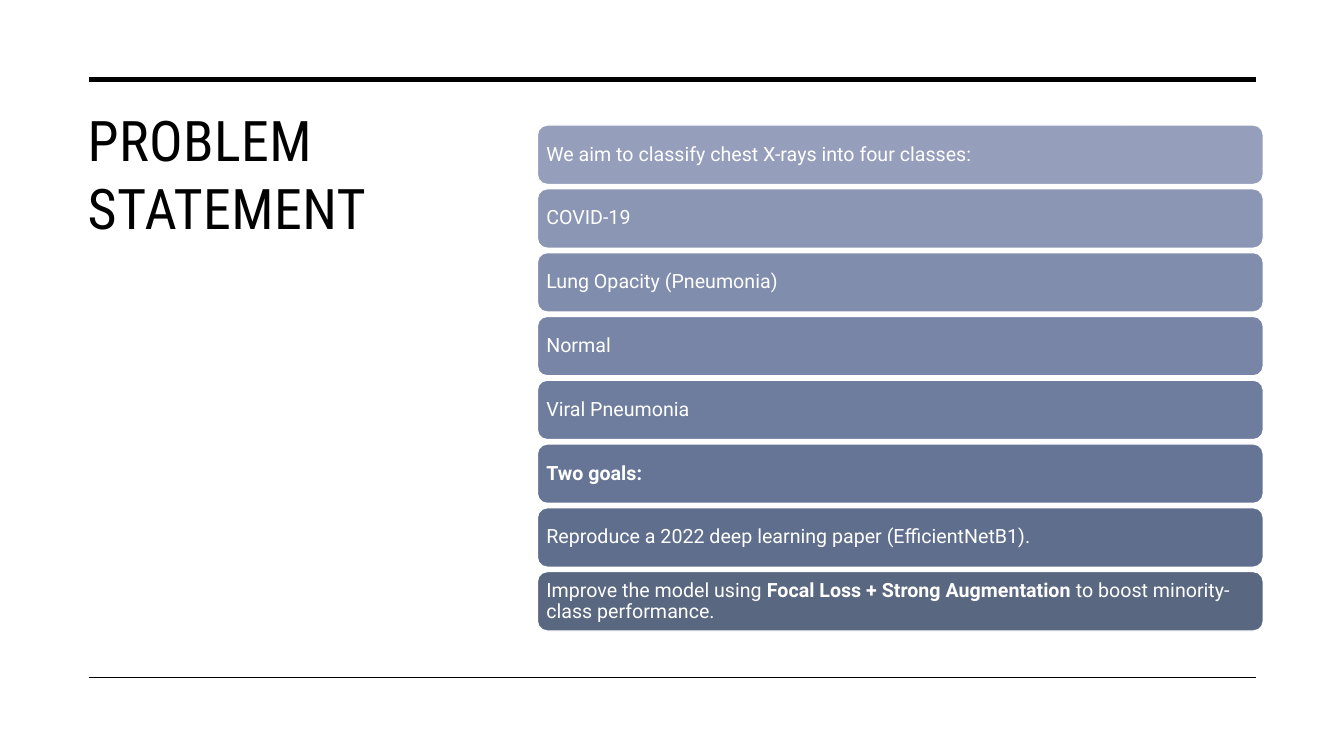
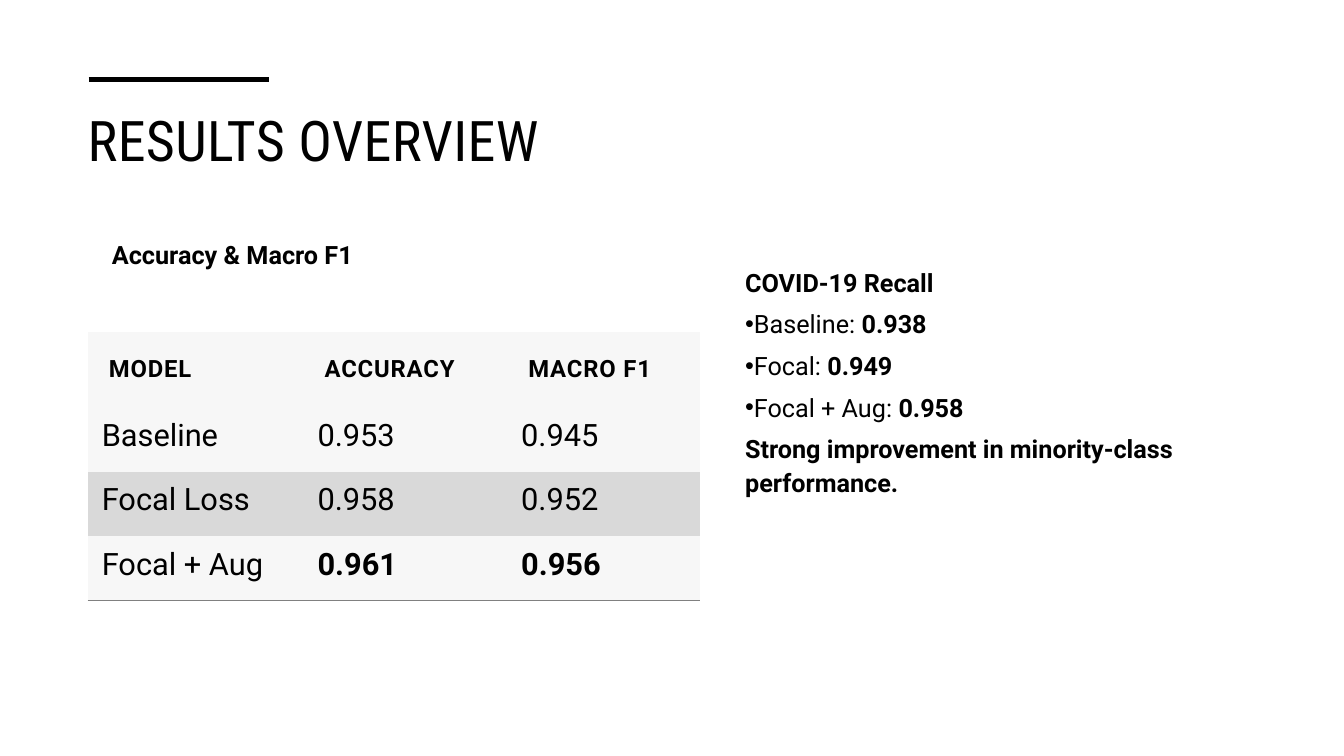
from dataclasses import dataclass

import lxml.etree
import pptx
import pptx.dml.color
import pptx.enum.shapes
import pptx.enum.text
import pptx.oxml
import pptx.oxml.ns
import pptx.util
from pptx.util import Inches

COLOURS = {"ink": "000000", "paper": "FFFFFF", "pale": "F7F7F7", "band": "D9D9D9", "edge": "808080"}
BAR_FILLS = ["959EBB", "8B96B4", "818DAD", "7885A6", "6E7D9E", "667596", "5F6E8C", "596781"]
TITLE_FONT = "Roboto Condensed"
BODY_FONT = "Roboto"
PLAIN_TABLE_STYLE = "{2D5ABB26-0587-4C30-8999-92F81FD0307C}"
RULE_LEFT = 0.88
RULE_TOP = 0.79


@dataclass(frozen=True)
class Span:
    text: str
    bold: bool = False


@dataclass(frozen=True)
class Line:
    spans: tuple[Span, ...]
    bullet: bool = False


@dataclass(frozen=True)
class TextStyle:
    size: float
    colour: str = COLOURS["ink"]
    font: str = BODY_FONT
    tracking: float = 0


@dataclass(frozen=True)
class Area:
    left: float
    top: float
    width: float
    height: float


TITLE_STYLE = TextStyle(40, font=TITLE_FONT, tracking=0.3)
BAR_STYLE = TextStyle(14, COLOURS["paper"])
LIST_STYLE = TextStyle(18)
HEADER_STYLE = TextStyle(17, tracking=0.6)
CELL_STYLE = TextStyle(22)

GOALS = [
    Line((Span("We aim to classify chest X-rays into four classes:"),)),
    Line((Span("COVID-19"),)),
    Line((Span("Lung Opacity (Pneumonia)"),)),
    Line((Span("Normal"),)),
    Line((Span("Viral Pneumonia"),)),
    Line((Span("Two goals:", True),)),
    Line((Span("Reproduce a 2022 deep learning paper (EfficientNetB1)."),)),
    Line((
        Span("Improve the model using "),
        Span("Focal Loss + Strong Augmentation", True),
        Span(" to boost minority-class performance."),
    )),
]
RECALL = [
    Line((Span("COVID-19 Recall", True),)),
    Line((Span("Baseline: "), Span("0.938", True)), bullet=True),
    Line((Span("Focal: "), Span("0.949", True)), bullet=True),
    Line((Span("Focal + Aug: "), Span("0.958", True)), bullet=True),
    Line((Span("Strong improvement in minority-class performance.", True),)),
]
SCORES = [
    ["MODEL", "ACCURACY", "MACRO F1"],
    ["Baseline", "0.953", "0.945"],
    ["Focal Loss", "0.958", "0.952"],
    ["Focal + Aug", "0.961", "0.956"],
]


def rgb(colour: str) -> pptx.dml.color.RGBColor:
    return pptx.dml.color.RGBColor.from_string(colour)


def place(shape, area: Area) -> None:
    shape.left, shape.top = Inches(area.left), Inches(area.top)
    shape.width, shape.height = Inches(area.width), Inches(area.height)


def format_span(span, style: TextStyle, bold: bool = False) -> None:
    font = span.font
    font.name, font.size, font.bold = style.font, pptx.util.Pt(style.size), bold
    font.color.rgb = rgb(style.colour)
    if style.tracking:
        span._r.get_or_add_rPr().set("spc", str(round(style.tracking * 100)))


def write_line(para, line: Line, style: TextStyle) -> None:
    for part in line.spans:
        span = para.add_run()
        span.text = part.text
        format_span(span, style, part.bold)
    para.alignment = pptx.enum.text.PP_ALIGN.LEFT


def set_bullet(para, bullet: bool) -> None:
    properties = para._p.get_or_add_pPr()
    properties.set("marL", "0")
    properties.set("indent", str(Inches(-0.25) if bullet else 0))
    tag = "a:buChar" if bullet else "a:buNone"
    element = lxml.etree.SubElement(properties, pptx.oxml.ns.qn(tag))
    if bullet:
        element.set("char", "•")


def fill_list(box, area: Area, lines: list[Line]) -> None:
    place(box, area)
    frame = box.text_frame
    frame.auto_size = pptx.enum.text.MSO_AUTO_SIZE.NONE
    frame.vertical_anchor = pptx.enum.text.MSO_ANCHOR.TOP
    for number, line in enumerate(lines):
        para = frame.add_paragraph() if number else frame.paragraphs[0]
        set_bullet(para, line.bullet)
        para.line_spacing = 1.1
        para.space_before = pptx.util.Pt(0)
        para.space_after = pptx.util.Pt(6)
        write_line(para, line, LIST_STYLE)


def add_rule(page, top: float, right: float, weight: float) -> None:
    rule = page.shapes.add_connector(
        pptx.enum.shapes.MSO_CONNECTOR.STRAIGHT,
        Inches(RULE_LEFT), Inches(top), Inches(right), Inches(top),
    )
    rule.line.color.rgb = rgb(COLOURS["ink"])
    rule.line.width = pptx.util.Pt(weight)
    lxml.etree.SubElement(rule._element.spPr, pptx.oxml.ns.qn("a:effectLst"))


def add_page(deck, layout: str, title: str, title_area: Area, rule_right: float):
    page = deck.slides.add_slide(deck.slide_layouts.get_by_name(layout))
    box = page.shapes.title
    place(box, title_area)
    frame = box.text_frame
    frame.text = title
    frame.auto_size = pptx.enum.text.MSO_AUTO_SIZE.NONE
    frame.vertical_anchor = pptx.enum.text.MSO_ANCHOR.TOP
    para = frame.paragraphs[0]
    para.alignment = pptx.enum.text.PP_ALIGN.LEFT
    format_span(para.runs[0], TITLE_STYLE)
    add_rule(page, RULE_TOP, rule_right, 3.5)
    return page


def add_bar(page, area: Area, colour: str, line: Line) -> None:
    bar = page.shapes.add_shape(
        pptx.enum.shapes.MSO_SHAPE.ROUNDED_RECTANGLE,
        Inches(area.left), Inches(area.top), Inches(area.width), Inches(area.height),
    )
    bar.shadow.inherit = False
    bar.fill.solid()
    bar.fill.fore_color.rgb = rgb(colour)
    bar.line.color.rgb = rgb(COLOURS["paper"])
    bar.line.width = pptx.util.Pt(1)
    frame = bar.text_frame
    frame.word_wrap = True
    frame.vertical_anchor = pptx.enum.text.MSO_ANCHOR.MIDDLE
    frame.margin_left = frame.margin_right = Inches(0.06)
    frame.margin_top = frame.margin_bottom = Inches(0.06)
    para = frame.paragraphs[0]
    para.line_spacing = 0.9
    write_line(para, line, BAR_STYLE)


def add_bottom_border(cell) -> None:
    properties = cell._tc.get_or_add_tcPr()
    border = pptx.oxml.parse_xml(
        f'<a:lnB {pptx.oxml.ns.nsdecls("a")} w="12700"><a:solidFill>'
        f'<a:srgbClr val="{COLOURS["edge"]}"/></a:solidFill></a:lnB>'
    )
    properties.insert(0, border)


def format_cell(cell, text: str, header: bool, bold: bool, colour: str) -> None:
    cell.text = text
    cell.vertical_anchor = pptx.enum.text.MSO_ANCHOR.MIDDLE
    margin = Inches(0.21 if header else 0.14)
    cell.margin_left = cell.margin_right = cell.margin_bottom = margin
    cell.margin_top = margin if header else Inches(0.07)
    cell.fill.solid()
    cell.fill.fore_color.rgb = rgb(colour)
    style = HEADER_STYLE if header else CELL_STYLE
    format_span(cell.text_frame.paragraphs[0].runs[0], style, bold)


def add_scores(page) -> None:
    widths, heights = [2.14, 2.02, 1.91], [0.75, 0.64, 0.64, 0.64]
    holder = page.shapes.add_table(
        len(heights), len(widths),
        Inches(0.87), Inches(3.29), Inches(sum(widths)), Inches(sum(heights)),
    )
    table = holder.table
    table.first_row = table.horz_banding = False
    table._tbl.tblPr.find(pptx.oxml.ns.qn("a:tableStyleId")).text = PLAIN_TABLE_STYLE
    for column, width in zip(table.columns, widths):
        column.width = Inches(width)
    last = len(SCORES) - 1
    for row, texts in enumerate(SCORES):
        table.rows[row].height = Inches(heights[row])
        colour = COLOURS["band" if row == 2 else "pale"]
        for column, text in enumerate(texts):
            cell = table.cell(row, column)
            bold = row == 0 or (row == last and column > 0)
            format_cell(cell, text, row == 0, bold, colour)
            if row == last:
                add_bottom_border(cell)


def build_problem(deck) -> None:
    page = add_page(deck, "Title Only", "PROBLEM STATEMENT", Area(0.77, 1, 4, 4.82), 12.46)
    add_rule(page, 6.72, 12.46, 1)
    first_top, last_top = 1.24, 5.67
    pitch = (last_top - first_top) / (len(GOALS) - 1)
    for number, (line, colour) in enumerate(zip(GOALS, BAR_FILLS)):
        add_bar(page, Area(5.33, first_top + number * pitch, 7.2, 0.59), colour, line)


def build_results(deck) -> None:
    page = add_page(deck, "Two Content", "RESULTS OVERVIEW", Area(0.77, 1, 11.79, 1.29), 2.67)
    caption = [Line((Span("Accuracy & Macro F1", True),))]
    fill_list(page.placeholders[1], Area(1.01, 2.29, 5.27, 0.56), caption)
    fill_list(page.placeholders[2], Area(7.29, 2.57, 5.27, 4.13), RECALL)
    add_scores(page)


def main() -> None:
    deck = pptx.Presentation()
    deck.slide_width, deck.slide_height = Inches(13.33), Inches(7.5)
    build_problem(deck)
    build_results(deck)
    deck.save("out.pptx")


if __name__ == "__main__":
    main()
